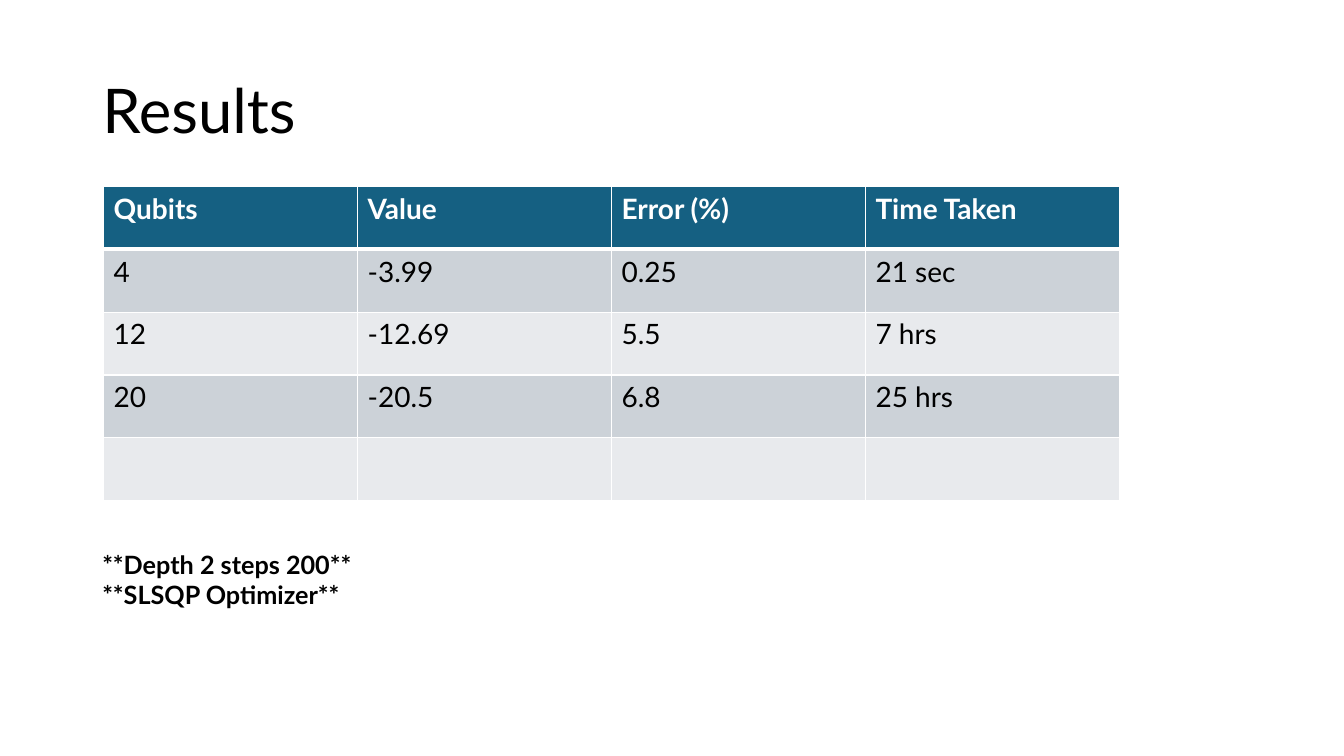
import dataclasses

import lxml.etree
import pptx
import pptx.dml.color
import pptx.enum.text
import pptx.oxml.ns
import pptx.util

Pt = pptx.util.Pt
qn = pptx.oxml.ns.qn


@dataclasses.dataclass(frozen=True)
class Theme:
    """Colours, font and type sizes of the slide."""

    font: str = "Lato"
    ink: str = "000000"
    paper: str = "FFFFFF"
    header: str = "156082"
    bands: tuple = ("CCD2D8", "E8EAED")
    title_size: float = 44
    table_size: float = 20
    note_size: float = 18
    rule: float = 1
    header_rule: float = 3


class SlideBuilder:
    """Draws styled elements on one slide."""

    def __init__(self, s, theme):
        self.s = s
        self.theme = theme

    def style(self, tf, size, color, bold=False):
        """Format every run of a text frame."""
        for p in tf.paragraphs:
            for r in p.runs:
                r.font.name = self.theme.font
                r.font.size = Pt(size)
                r.font.bold = bold
                r.font.color.rgb = pptx.dml.color.RGBColor.from_string(color)

    def text(self, text, box, size, bold=False, wrap=True):
        """Add a text box and return its text frame."""
        tf = self.s.shapes.add_textbox(*map(Pt, box)).text_frame
        tf.word_wrap = wrap
        tf.text = text
        self.style(tf, size, self.theme.ink, bold)
        return tf

    def title(self, text, box):
        """Add the slide title."""
        tf = self.text(text, box, self.theme.title_size)
        tf.vertical_anchor = pptx.enum.text.MSO_ANCHOR.MIDDLE
        tf.paragraphs[0].line_spacing = 0.9

    def note(self, text, box):
        """Add a bold note that grows with its text."""
        tf = self.text(text, box, self.theme.note_size, bold=True, wrap=False)
        tf.auto_size = pptx.enum.text.MSO_AUTO_SIZE.SHAPE_TO_FIT_TEXT

    def border(self, cell, side, width):
        """Draw one side of a cell border."""
        tc_pr = cell._tc.get_or_add_tcPr()
        line = lxml.etree.SubElement(tc_pr, qn(f"a:ln{side}"), w=str(Pt(width)))
        fill = lxml.etree.SubElement(line, qn("a:solidFill"))
        lxml.etree.SubElement(fill, qn("a:srgbClr"), val=self.theme.paper)

    def cell(self, cell, text, row):
        """Fill, rule and write one table cell."""
        theme = self.theme
        is_header = row == 0
        widths = {"L": theme.rule, "R": theme.rule,
                  "T": theme.header_rule if row == 1 else theme.rule,
                  "B": theme.header_rule if is_header else theme.rule}
        for side, width in widths.items():
            self.border(cell, side, width)
        fill = theme.header if is_header else theme.bands[(row - 1) % 2]
        cell.fill.solid()
        cell.fill.fore_color.rgb = pptx.dml.color.RGBColor.from_string(fill)
        cell.text_frame.text = text
        color = theme.paper if is_header else theme.ink
        self.style(cell.text_frame, theme.table_size, color, is_header)

    def table(self, rows, box):
        """Add a banded table with a header row."""
        table = self.s.shapes.add_table(len(rows), len(rows[0]), *map(Pt, box)).table
        for i, values in enumerate(rows):
            for j, value in enumerate(values):
                self.cell(table.cell(i, j), value, i)


def main():
    """Build the results slide."""
    prs = pptx.Presentation()
    prs.slide_width, prs.slide_height = Pt(960), Pt(540)
    slide = SlideBuilder(prs.slides.add_slide(prs.slide_layouts[6]), Theme())
    slide.title("Results", (66, 28.75, 828, 104.4))
    results = [
        ("Qubits", "Value", "Error (%)", "Time Taken"),
        ("4", "-3.99", "0.25", "21 sec"),
        ("12", "-12.69", "5.5", "7 hrs"),
        ("20", "-20.5", "6.8", "25 hrs"),
        ("", "", "", ""),
    ]
    slide.table(results, (74, 133.2, 725.6, 224.5))
    slide.note("**Depth 2 steps 200**\v**SLSQP Optimizer**", (66, 388.8, 193.7, 50.9))
    prs.save("out.pptx")


if __name__ == "__main__":
    main()
